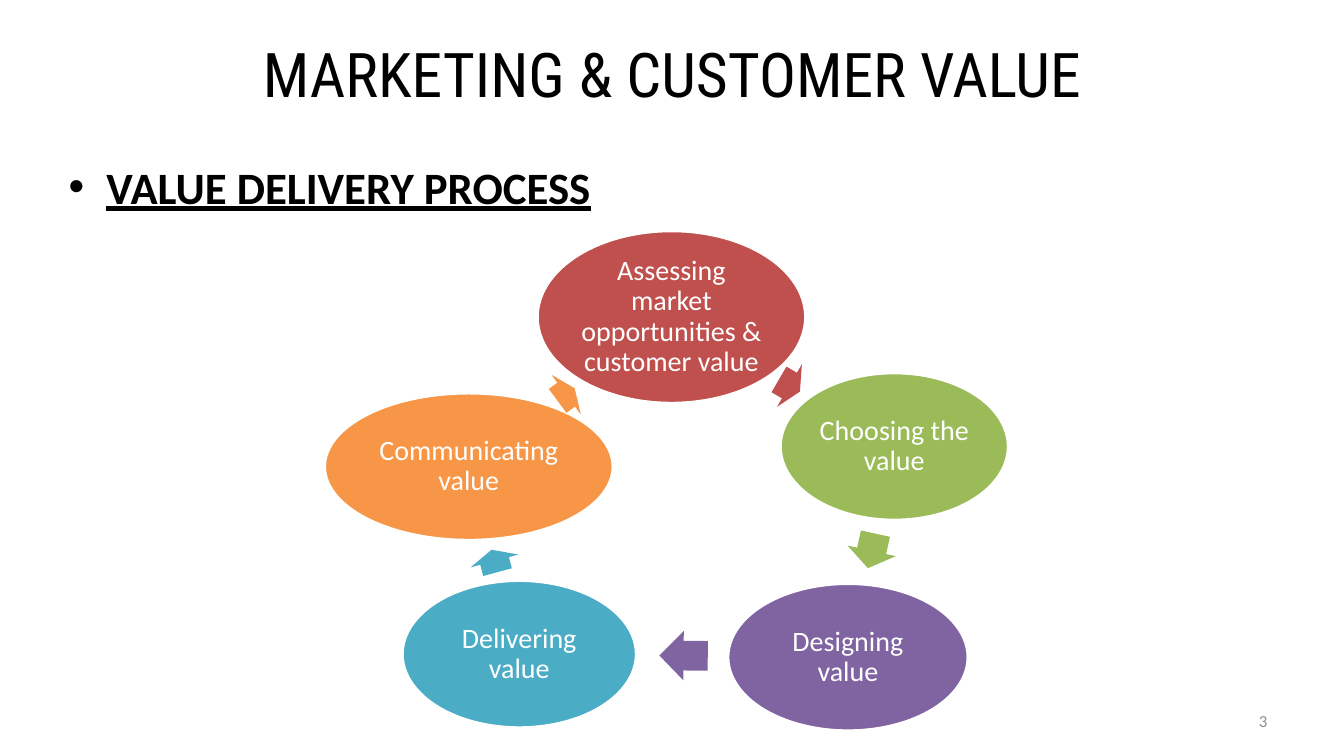
from pptx import Presentation
from pptx.dml.color import RGBColor
from pptx.enum.shapes import MSO_SHAPE
from pptx.enum.text import MSO_ANCHOR, MSO_AUTO_SIZE, PP_ALIGN
from pptx.util import Emu, Pt

PX = 9144  # EMU per px, 100 px to the inch
OVAL, ARROW = MSO_SHAPE.OVAL, MSO_SHAPE.RIGHT_ARROW
LEFT, CENTER, RIGHT = PP_ALIGN.LEFT, PP_ALIGN.CENTER, PP_ALIGN.RIGHT
TOP, MIDDLE = MSO_ANCHOR.TOP, MSO_ANCHOR.MIDDLE
NO_FIT = MSO_AUTO_SIZE.NONE

COLORS = {
    "black": "000000", "white": "FFFFFF", "grey": "8C8C8C",
    "red": "C0504D", "green": "9BBB59", "purple": "8064A2",
    "teal": "4BACC6", "orange": "F79646",
}
FONTS = {
    "title": {"name": "Roboto Condensed", "size": Pt(44)},
    "body": {"name": "Calibri", "size": Pt(32), "bold": True, "underline": True},
    "stage": {"name": "Calibri", "size": Pt(20)},
    "number": {"name": "Calibri", "size": Pt(12)},
}
ARROW_HEIGHT = 49
# Text, colour, ellipse and arrow in px within the cycle: arrow is left, top, width, degrees
STAGES = [
    ("Assessing market opportunities & customer value", "red",
     (211, 0, 266, 171), (449, 129, 24, 30.2)),
    ("Choosing the value", "green", (452, 141, 226, 146), (525, 293, 35, 102.4)),
    ("Designing value", "purple", (400, 350, 238, 146), (332, 397, 48, 180.5)),
    ("Delivering value", "teal", (77, 347, 232, 146), (157, 303, 23, 254.9)),
    ("Communicating value", "orange", (0, 161, 286, 146), (229, 138, 21, 323.5)),
]


def px(*lengths):
    return [Emu(length * PX) for length in lengths]


def color(name):
    return RGBColor.from_string(COLORS[name])


def set_values(target, values):
    for name, value in values.items():
        setattr(target, name, value)


def write(shape, text, style, color_name, align, anchor):
    frame = shape.text_frame
    set_values(frame, {"word_wrap": True, "auto_size": NO_FIT, "vertical_anchor": anchor})
    para = frame.paragraphs[0]
    para.alignment = align
    span = para.add_run()
    span.text = text
    set_values(span.font, FONTS[style])
    span.font.color.rgb = color(color_name)
    return para


def fill_placeholder(shape, box, *text_format):
    set_values(shape, dict(zip(("left", "top", "width", "height"), px(*box))))
    write(shape, *text_format)


def add_filled(page, kind, box, color_name):
    shape = page.shapes.add_shape(kind, *px(*box))
    shape.shadow.inherit = False
    shape.fill.solid()
    shape.fill.fore_color.rgb = color(color_name)
    return shape


def add_cycle(page, box):
    left, top = box[:2]
    for text, color_name, (x, y, width, height), arrow_place in STAGES:
        # Stage ellipse
        stage = add_filled(page, OVAL, (left + x, top + y, width, height), color_name)
        stage.line.color.rgb = color("white")
        stage.line.width = Pt(2)
        sides = ("margin_left", "margin_top", "margin_right", "margin_bottom")
        set_values(stage.text_frame, dict.fromkeys(sides, Emu(3 * PX)))
        para = write(stage, text, "stage", "white", CENTER, MIDDLE)
        para.line_spacing = 0.9

        # Arrow to the next stage
        x, y, width, degrees = arrow_place
        arrow = add_filled(page, ARROW, (left + x, top + y, width, ARROW_HEIGHT), color_name)
        arrow.line.fill.background()
        arrow.rotation = degrees
        arrow.adjustments[0] = 0.6
        arrow.adjustments[1] = 0.5


def add_page_number(page, box, text):
    number = page.shapes.add_textbox(*px(*box))
    write(number, text, "number", "grey", RIGHT, MIDDLE)


def main():
    deck = Presentation()
    deck.slide_width, deck.slide_height = px(1333, 750)
    page = deck.slides.add_slide(deck.slide_layouts[1])

    # Title and list
    fill_placeholder(page.shapes.title, (92, 0, 1150, 145),
                     "MARKETING & CUSTOMER VALUE", "title", "black", CENTER, MIDDLE)
    fill_placeholder(page.placeholders[1], (58, 153, 1150, 476),
                     "VALUE DELIVERY PROCESS", "body", "black", LEFT, TOP)

    # Value delivery cycle and page number
    add_cycle(page, (322, 229, 678, 496))
    add_page_number(page, (956, 695, 311, 40), "3")
    deck.save("out.pptx")


if __name__ == "__main__":
    main()
